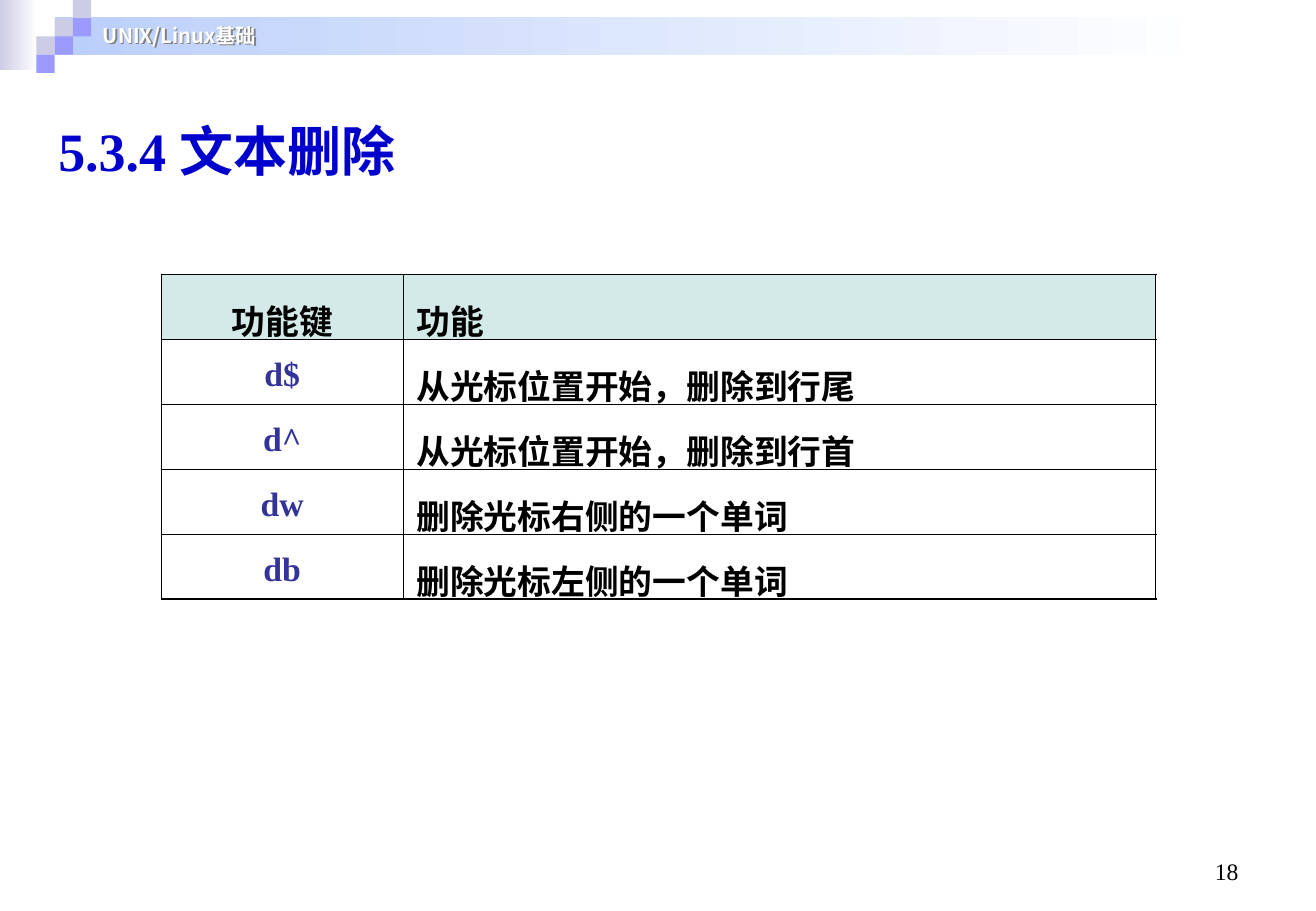
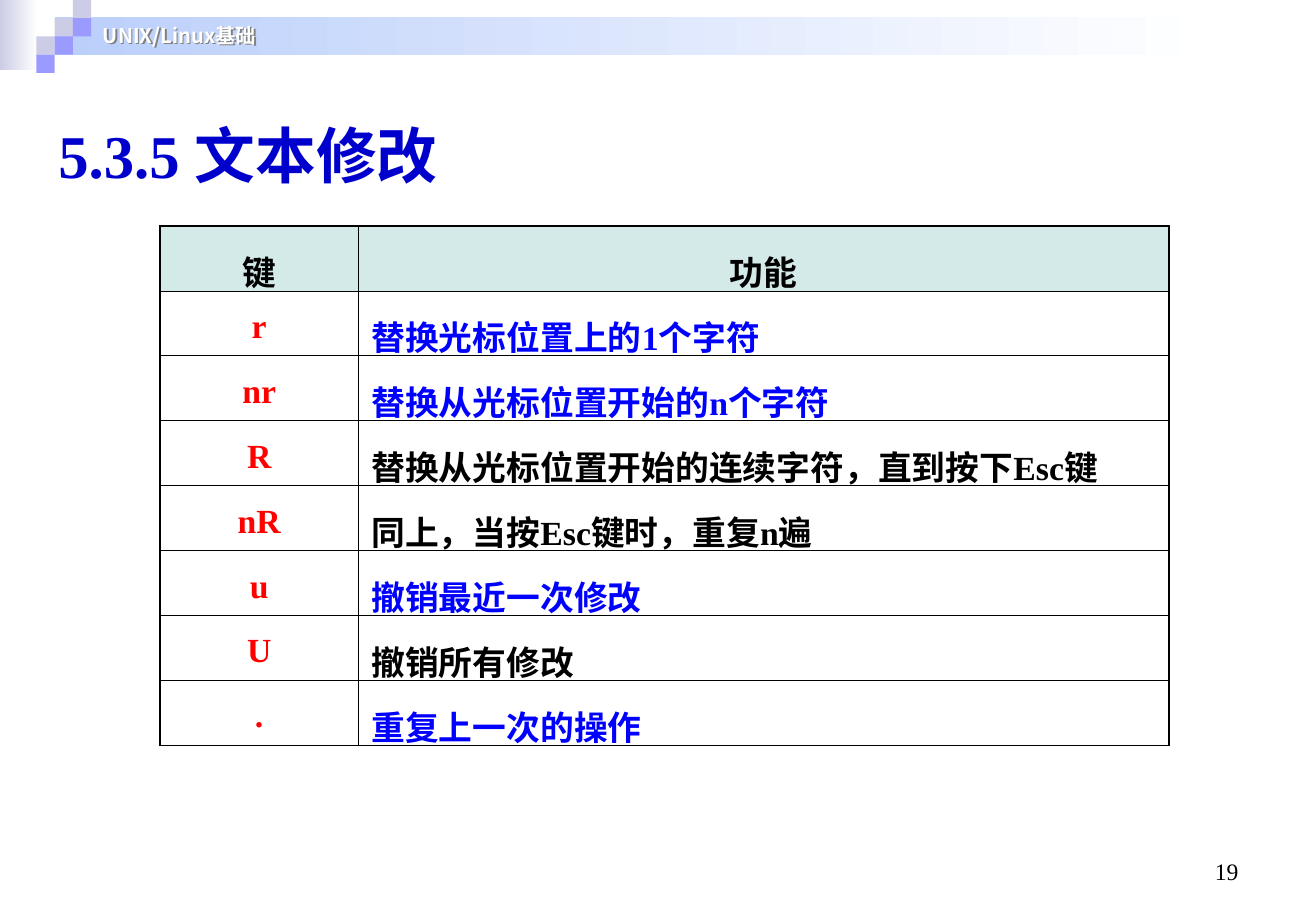
import pptx
import pptx.dml.color
import pptx.enum.shapes
import pptx.enum.text
import pptx.oxml
import pptx.oxml.ns
import pptx.util
from lxml import etree

RGB = pptx.dml.color.RGBColor
ALIGN = pptx.enum.text.PP_ALIGN
ANCHOR = pptx.enum.text.MSO_ANCHOR
RECT = pptx.enum.shapes.MSO_SHAPE.RECTANGLE
STRAIGHT = pptx.enum.shapes.MSO_CONNECTOR.STRAIGHT
qn = pptx.oxml.ns.qn

WHITE = RGB(0xFF, 0xFF, 0xFF)
BLACK = RGB(0, 0, 0)
LAVENDER = RGB(0xCC, 0xCC, 0xE6)
VIOLET = RGB(0x9B, 0x9B, 0xFF)
SKY = RGB(0xBB, 0xCF, 0xFB)
TITLE_BLUE = RGB(0, 0, 0xCC)
HEAD_FILL = RGB(0xD3, 0xEA, 0xE9)
INDIGO = RGB(0x33, 0x33, 0x99)
RED = RGB(0xFF, 0, 0)
BLUE = RGB(0, 0, 0xFF)

SANS = "Noto Sans CJK JP"
SERIF = "Times New Roman"
WIDTH, HEIGHT = 10.84, 7.5
UNIT = 0.15
ROW = 0.53
THICK, THIN = 1.08, 0.45
SQUARES = [(3, 1, LAVENDER), (4, 0, LAVENDER), (4, 1, VIOLET),
           (2, 2, LAVENDER), (3, 2, VIOLET), (2, 3, VIOLET)]
SHADOW = ('<a:effectLst xmlns:a="http://schemas.openxmlformats.org/drawingml/2006/main">'
          '<a:outerShdw dist="17961" dir="2700000" algn="ctr" rotWithShape="0">'
          '<a:srgbClr val="808080"/></a:outerShdw></a:effectLst>')


def inches(*values):
    """Convert numbers to lengths."""
    return [pptx.util.Inches(v) for v in values]


def write(tf, text, size=20, color=BLACK, font=SERIF, bold=True,
          align=ALIGN.LEFT, anchor=ANCHOR.TOP, spacing=1.0):
    """Put one formatted paragraph in a text frame."""
    tf.word_wrap = True
    tf.vertical_anchor = anchor
    p = tf.paragraphs[0]
    p.alignment = align
    p.line_spacing = spacing
    r = p.add_run()
    r.text = text
    r.font.size = pptx.util.Pt(size)
    r.font.bold = bold
    r.font.color.rgb = color
    r.font.name = font
    latin = r._r.get_or_add_rPr().find(qn("a:latin"))
    latin.addnext(etree.Element(qn("a:ea"), typeface=SANS))


def add_rect(shapes, box, start, end=None):
    """Add a plain rectangle, shaded left to right when an end colour is given."""
    sp = shapes.add_shape(RECT, *inches(*box))
    sp.shadow.inherit = False
    sp.line.fill.background()
    if end is None:
        sp.fill.solid()
        sp.fill.fore_color.rgb = start
    else:
        sp.fill.gradient()
        sp.fill.gradient_angle = 0
        for stop, color in zip(sp.fill.gradient_stops, (start, end)):
            stop.color.rgb = color


def add_header(slide):
    """Draw the header band and hand it to the slide's layout."""
    group = slide.shapes.add_group_shape()
    shapes = group.shapes
    line = shapes.add_connector(STRAIGHT, *inches(0.2, 0.49, 7.44, 0.49))
    line.line.color.rgb = WHITE
    line.line.width = pptx.util.Pt(2.25)
    etree.SubElement(line.element.spPr, qn("a:effectLst"))
    add_rect(shapes, (0, 0, 0.31, 0.58), LAVENDER, WHITE)
    add_rect(shapes, (3 * UNIT, 0.14, 9.55, 0.31), SKY, WHITE)
    for col, row, color in SQUARES:
        add_rect(shapes, (col * UNIT, row * UNIT, UNIT, UNIT), color)
    label = shapes.add_textbox(*inches(5 * UNIT, 0.14, 5.35, 0.3))
    write(label.text_frame, "UNIX/Linux基础", size=12, color=WHITE, font=SANS)
    label.element.spPr.append(pptx.oxml.parse_xml(SHADOW))
    slide.slide_layout.shapes.element.insert(2, group.element)


def add_title(slide, text, size):
    """Place the slide title."""
    title = slide.shapes.title
    title.left, title.top, title.width, title.height = inches(0.38, 0.92, 5.59, size / 51)
    title.text_frame.auto_size = pptx.enum.text.MSO_AUTO_SIZE.NONE
    write(title.text_frame, text, size=size, color=TITLE_BLUE)


def add_page_number(slide, number):
    """Place the page number at the lower right."""
    box = slide.shapes.add_textbox(*inches(WIDTH - 3.07, HEIGHT - 0.68, 2.53, 0.52))
    write(box.text_frame, str(number), size=14, bold=False,
          align=ALIGN.RIGHT, anchor=ANCHOR.BOTTOM)


def set_borders(cell, widths):
    """Give a cell black borders, in the order left, right, top, bottom."""
    tcPr = cell._tc.get_or_add_tcPr()
    for i, (side, width) in enumerate(zip("LRTB", widths)):
        ln = etree.Element(qn("a:ln" + side), w=str(pptx.util.Pt(width)))
        fill = etree.SubElement(ln, qn("a:solidFill"))
        etree.SubElement(fill, qn("a:srgbClr"), val=str(BLACK))
        tcPr.insert(i, ln)


def add_key_table(slide, left, top, widths, head, rows, key_color, head_align):
    """Add a table of keys and what they do; each row ends with its text colour."""
    count = len(rows) + 1
    frame = slide.shapes.add_table(count, 2, *inches(left, top, sum(widths), count * ROW))
    table = frame.table
    table.first_row = table.horz_banding = False
    for column, width in zip(table.columns, inches(*widths)):
        column.width = width
    for i, (key, action, color) in enumerate([(*head, BLACK), *rows]):
        formats = [(key, key_color if i else BLACK, ALIGN.CENTER),
                   (action, color, ALIGN.LEFT if i else head_align)]
        for j, (text, text_color, align) in enumerate(formats):
            cell = table.cell(i, j)
            cell.margin_left = cell.margin_right = pptx.util.Inches(0.11)
            cell.margin_bottom = pptx.util.Inches(-0.04)
            write(cell.text_frame, text, color=text_color, align=align, spacing=1.3)
            if i:
                cell.fill.background()
            else:
                cell.fill.solid()
                cell.fill.fore_color.rgb = HEAD_FILL
            edges = (j == 0, j == 1, i == 0, i == count - 1)
            set_borders(cell, [THICK if edge else THIN for edge in edges])


def add_key_slide(prs, number, title, title_size, **table):
    """Add one slide with a title, a key table and a page number."""
    slide = prs.slides.add_slide(prs.slide_layouts[5])
    add_title(slide, title, title_size)
    add_key_table(slide, **table)
    add_page_number(slide, number)
    return slide


def main():
    """Build the two slides."""
    prs = pptx.Presentation()
    prs.slide_width, prs.slide_height = inches(WIDTH, HEIGHT)
    first = add_key_slide(
        prs, 18, "5.3.4 文本删除", 32, left=1.33, top=2.26, widths=(1.99, 6.2),
        head=("功能键", "功能"), key_color=INDIGO, head_align=ALIGN.LEFT,
        rows=[("d$", "从光标位置开始，删除到行尾", BLACK),
              ("d^", "从光标位置开始，删除到行首", BLACK),
              ("dw", "删除光标右侧的一个单词", BLACK),
              ("db", "删除光标左侧的一个单词", BLACK)])
    add_header(first)
    add_key_slide(
        prs, 19, "5.3.5 文本修改", 36, left=1.32, top=1.86, widths=(1.63, 6.68),
        head=("键", "功能"), key_color=RED, head_align=ALIGN.CENTER,
        rows=[("r", "替换光标位置上的1个字符", BLUE),
              ("nr", "替换从光标位置开始的n个字符", BLUE),
              ("R", "替换从光标位置开始的连续字符，直到按下Esc键", BLACK),
              ("nR", "同上，当按Esc键时，重复n遍", BLACK),
              ("u", "撤销最近一次修改", BLUE),
              ("U", "撤销所有修改", BLACK),
              (".", "重复上一次的操作", BLUE)])
    prs.save("out.pptx")


if __name__ == "__main__":
    main()
